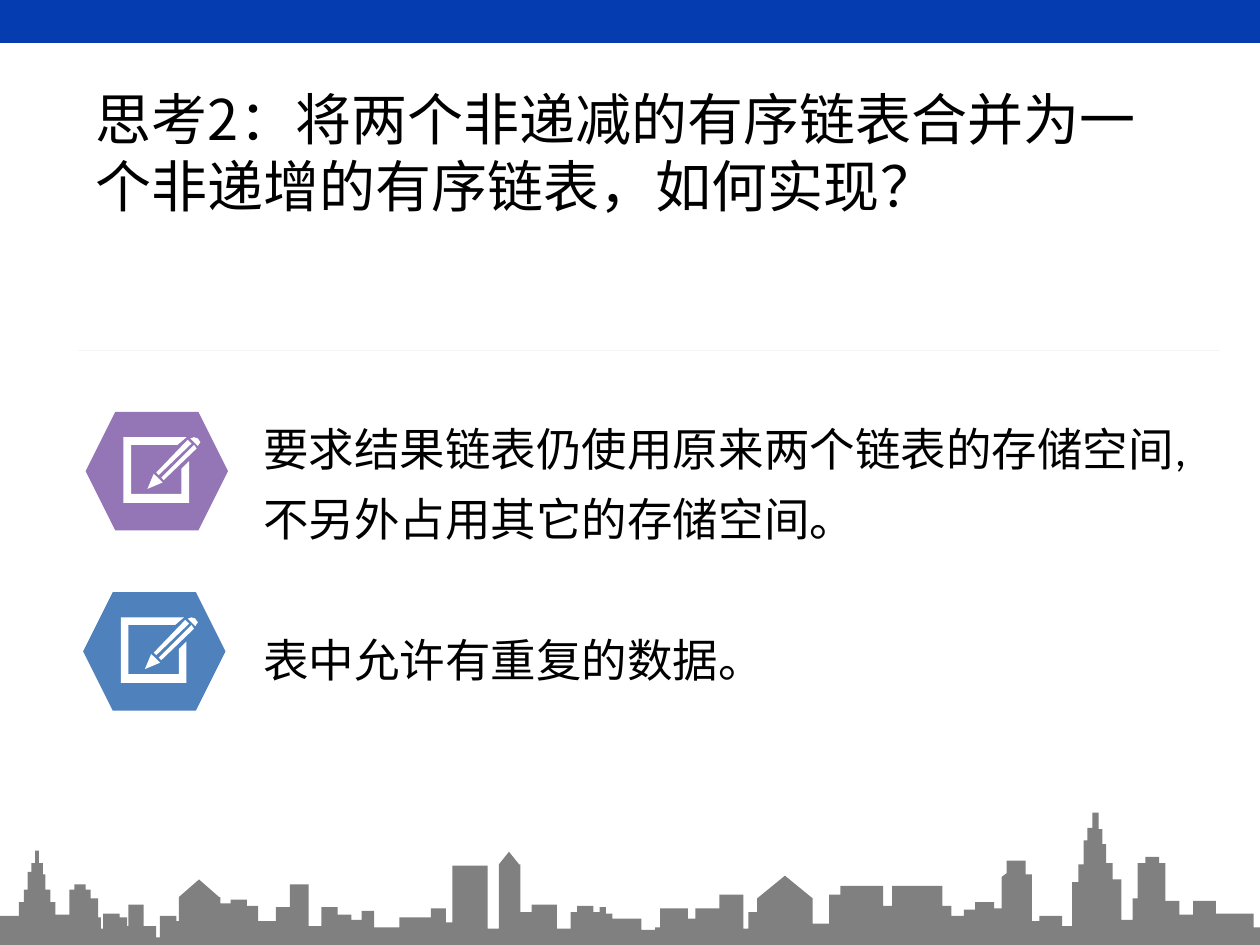
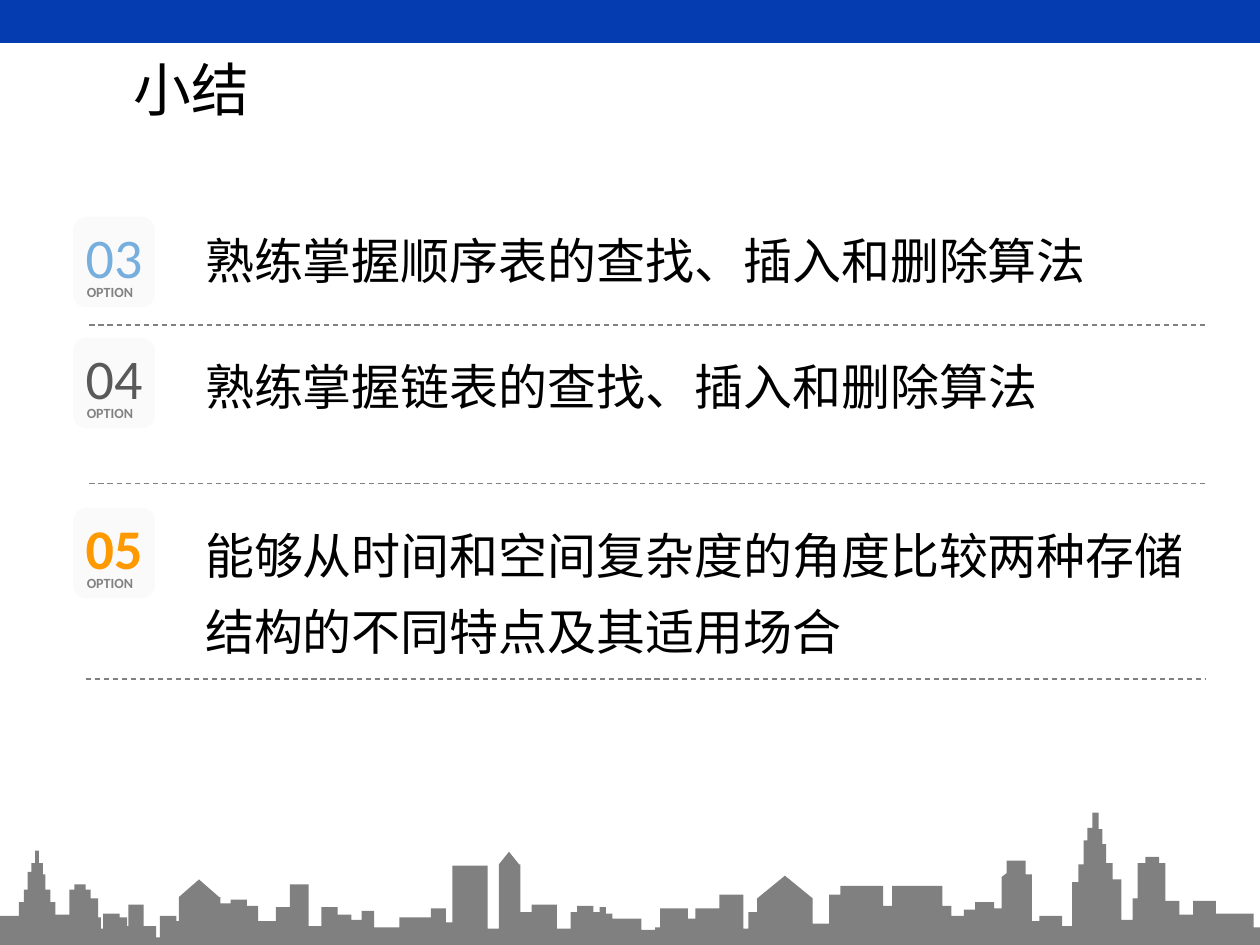
"""Build two slides on linked lists, with a shared band, title style and skyline."""
from dataclasses import dataclass

import lxml.etree
import pptx
import pptx.dml.color
import pptx.enum.dml
import pptx.enum.shapes
import pptx.enum.text
import pptx.oxml.ns
import pptx.util

Inches = pptx.util.Inches
RGBColor = pptx.dml.color.RGBColor
Shape = pptx.enum.shapes.MSO_SHAPE
Anchor = pptx.enum.text.MSO_ANCHOR
qn = pptx.oxml.ns.qn

BLUE = RGBColor(0x05, 0x3C, 0xAF)
BLACK = RGBColor(0x00, 0x00, 0x00)
WHITE = RGBColor(0xFF, 0xFF, 0xFF)
GREY = RGBColor(0x80, 0x80, 0x80)
PALE = RGBColor(0xF5, 0xF5, 0xF5)
CARD = RGBColor(0xFA, 0xFA, 0xFA)
LABEL = RGBColor(0x81, 0x81, 0x81)
PURPLE = RGBColor(0x94, 0x76, 0xB6)
STEEL = RGBColor(0x4F, 0x81, 0xBD)
SKY = RGBColor(0x76, 0xAE, 0xDD)
SLATE = RGBColor(0x59, 0x59, 0x59)
ORANGE = RGBColor(0xFF, 0x99, 0x00)

LATIN = "Calibri"
HAN = "Noto Sans CJK SC"
WIDTH, HEIGHT = 10, 7.5

Point = tuple[float, float]
Box = tuple[float, float, float, float]

ROOFS: list[Point] = [
    (0, 7.27), (0.15, 7.16), (0.19, 7.06), (0.22, 6.92), (0.25, 6.85), (0.28, 6.75),
    (0.31, 6.85), (0.34, 6.94), (0.36, 7.06), (0.4, 7.16), (0.44, 7.26), (0.55, 7.06),
    (0.59, 7.02), (0.68, 7.06), (0.72, 7.13), (0.78, 7.28), (0.8, 7.37), (0.82, 7.25),
    (0.95, 7.28), (1.01, 7.35), (1.02, 7.18), (1.14, 7.35), (1.24, 7.44), (1.27, 7.27),
    (1.4, 7.31), (1.42, 7.12), (1.75, 7.17), (1.83, 7.14), (1.96, 7.19), (2.05, 7.31),
    (2.19, 7.2), (2.3, 7.02), (2.45, 7.35), (2.55, 7.2), (2.68, 7.26), (2.79, 7.3),
    (2.87, 7.23), (2.97, 7.36), (3.17, 7.28), (3.42, 7.21), (3.54, 7.32), (3.59, 6.87),
    (3.87, 7.37), (3.96, 6.86), (4.13, 7.24), (4.22, 7.18), (4.42, 7.37), (4.53, 7.24),
    (4.58, 7.19), (4.71, 7.24), (4.76, 7.2), (4.81, 7.25), (4.86, 7.29), (5.09, 7.38),
    (5.2, 7.36), (5.24, 7.21), (5.46, 7.29), (5.52, 7.21), (5.71, 7.1), (5.9, 7.37),
    (5.94, 7.24), (6.01, 7.13), (6.45, 7.33), (6.58, 7.1), (6.67, 7.03), (7.01, 7.19),
    (7.08, 7.03), (7.48, 7.19), (7.55, 7.27), (7.65, 7.22), (7.74, 7.16), (7.89, 7.21),
    (7.95, 6.96), (7.99, 6.83), (8.14, 6.94), (8.19, 7.31), (8.25, 7.27), (8.43, 7.35),
    (8.51, 7), (8.56, 6.86), (8.6, 6.67), (8.63, 6.57), (8.67, 6.45), (8.72, 6.58),
    (8.75, 6.7), (8.78, 6.85), (8.83, 6.98), (8.9, 7.3), (8.99, 7.13), (9.03, 6.85),
    (9.09, 6.8), (9.2, 6.85), (9.25, 7.15), (9.36, 7.26), (9.47, 7.15), (9.65, 7.25),
    (9.95, 7.36),
]
PEAKS: dict[float, Point] = {
    1.42: (1.58, 6.98), 3.96: (4.04, 6.76), 6.01: (6.23, 6.95), 7.95: (7.99, 6.93),
}

NIB: list[Point] = [(0.61, 0.56), (0.54, 0.49), (0.49, 0.61)]
UPPER: list[Point] = [(0.81, 0.22), (0.56, 0.48), (0.58, 0.5), (0.84, 0.25)]
LOWER: list[Point] = [(0.6, 0.52), (0.62, 0.54), (0.88, 0.29), (0.86, 0.26)]
RUBBER: list[Point] = [(0.83, 0.21), (0.86, 0.2), (0.89, 0.21), (0.91, 0.24), (0.89, 0.27)]
FRAME: list[Point] = [
    (0.76, 0.65), (0.36, 0.65), (0.36, 0.26), (0.73, 0.26), (0.8, 0.2),
    (0.3, 0.2), (0.3, 0.72), (0.82, 0.72), (0.82, 0.39), (0.76, 0.45),
]


@dataclass
class Badge:
    """A hexagon that holds the pencil icon."""
    left: float
    top: float
    color: RGBColor


@dataclass
class Option:
    """A numbered card, its text and the dashed rule under it."""
    number: str
    color: RGBColor
    top: float
    text: str
    box: Box
    rule: Point
    bold: bool = False
    pitch: float = 1.0


BADGES = [Badge(0.68, 3.27, PURPLE), Badge(0.66, 4.7, STEEL)]
OPTIONS = [
    Option("03", SKY, 1.72, "熟练掌握顺序表的查找、插入和删除算法",
           (1.53, 1.78, 7.8, 0.69), (0.71, 2.58)),
    Option("04", SLATE, 2.68, "熟练掌握链表的查找、插入和删除算法",
           (1.53, 2.78, 6.95, 0.62), (0.71, 3.84)),
    Option("05", ORANGE, 4.03,
           "能够从时间和空间复杂度的角度比较两种存储结构的不同特点及其适用场合",
           (1.53, 3.98, 8.03, 1.27), (0.68, 5.39), bold=True, pitch=1.3),
]


def write(para, text: str, *, size: float, color: RGBColor = BLACK, face: str = LATIN,
          bold: bool = False, pitch: float = 1.0, gap: float = 0) -> None:
    """Add a run to a paragraph and format both."""
    para.alignment = pptx.enum.text.PP_ALIGN.LEFT
    para.line_spacing = pitch
    para.space_before = pptx.util.Pt(gap)
    run = para.add_run()
    run.text = text
    run.font.size = pptx.util.Pt(size)
    run.font.bold = bold
    run.font.color.rgb = color
    run.font.name = face
    lxml.etree.SubElement(run._r.get_or_add_rPr(), qn("a:ea")).set("typeface", face)


def place(shape, box: Box, anchor: Anchor = Anchor.MIDDLE):
    """Set the bounds of a text shape and return its frame."""
    shape.left, shape.top, shape.width, shape.height = map(Inches, box)
    frame = shape.text_frame
    frame.word_wrap = True
    frame.auto_size = pptx.enum.text.MSO_AUTO_SIZE.NONE
    frame.vertical_anchor = anchor
    return frame


def add_text(slide, box: Box, anchor: Anchor = Anchor.TOP):
    """Add a text box and return its frame."""
    return place(slide.shapes.add_textbox(*map(Inches, box)), box, anchor)


def paint(shape, color: RGBColor):
    """Give a shape a plain fill without line or shadow."""
    shape.shadow.inherit = False
    shape.fill.solid()
    shape.fill.fore_color.rgb = color
    shape.line.fill.background()
    return shape


def add_block(slide, kind: Shape, box: Box, color: RGBColor):
    """Add a filled preset shape."""
    return paint(slide.shapes.add_shape(kind, *map(Inches, box)), color)


def add_outline(slide, points: list[Point], color: RGBColor,
                left: float = 0, top: float = 0) -> None:
    """Add a filled polygon whose points are measured from left and top."""
    spots = [(Inches(left + x), Inches(top + y)) for x, y in points]
    pen = slide.shapes.build_freeform(*spots[0])
    pen.add_line_segments(spots[1:], close=True)
    paint(pen.convert_to_shape(), color)


def add_rule(slide, start: float, end: float, y: float, color: RGBColor,
             dashed: bool = False) -> None:
    """Add a thin level line."""
    rule = slide.shapes.add_connector(
        pptx.enum.shapes.MSO_CONNECTOR.STRAIGHT,
        Inches(start), Inches(y), Inches(end), Inches(y))
    rule.line.color.rgb = color
    rule.line.width = pptx.util.Pt(0.75)
    if dashed:
        rule.line.dash_style = pptx.enum.dml.MSO_LINE.DASH
    lxml.etree.SubElement(rule.element.spPr, qn("a:effectLst"))


def add_city(slide) -> None:
    """Add the skyline along the foot of a slide."""
    points: list[Point] = [(0, HEIGHT)]
    for x, y in ROOFS:
        points += [(x, points[-1][1]), (x, y)]
        if x in PEAKS:
            points += [PEAKS[x], (2 * PEAKS[x][0] - x, y)] if x < 7 else [PEAKS[x]]
    points += [(WIDTH, points[-1][1]), (WIDTH, HEIGHT)]
    add_outline(slide, points, GREY)


def add_badge(slide, badge: Badge) -> None:
    """Add a hexagon with a pencil on a sheet."""
    add_block(slide, Shape.HEXAGON, (badge.left, badge.top, 1.13, 0.94), badge.color)
    for part in (NIB, UPPER, LOWER, RUBBER, FRAME):
        add_outline(slide, part, WHITE, badge.left, badge.top)


def add_option(slide, item: Option) -> None:
    """Add one row of the summary."""
    add_block(slide, Shape.ROUNDED_RECTANGLE, (0.58, item.top, 0.65, 0.72), CARD)
    number = add_text(slide, (0.68, item.top + 0.04, 0.55, 0.54), Anchor.MIDDLE)
    number.margin_left = number.margin_right = number.margin_top = number.margin_bottom = 0
    write(number.paragraphs[0], item.number, size=32, color=item.color, bold=item.bold)
    label = add_text(slide, (0.59, item.top + 0.48, 0.65, 0.24))
    write(label.paragraphs[0], "OPTION", size=8, color=LABEL, bold=True)
    frame = add_text(slide, item.box)
    write(frame.paragraphs[0], item.text, size=28, pitch=item.pitch)
    start, y = item.rule
    add_rule(slide, start, 9.57, y, GREY, dashed=True)


def add_band(deck, slide) -> None:
    """Draw the top band and move it to the master."""
    band = add_block(slide, Shape.RECTANGLE, (0, 0, WIDTH, 0.34), BLUE)
    deck.slide_master.element.cSld.spTree.insert(2, band.element)


def build_task(deck):
    """Build the slide that sets the merging task."""
    slide = deck.slides.add_slide(deck.slide_layouts[1])
    title = place(slide.shapes.title, (0.66, 0.57, 8.51, 1.27)).paragraphs[0]
    write(title, "思考2：", size=32, face=HAN)
    write(title, "将两个非递减的有序链表合并为一个非递增的有序链表，如何实现？", size=32)
    body = place(slide.placeholders[1], (1.99, 3.14, 7.69, 2.38))
    rules = [("要求结果链表仍使用原来两个链表的存储空间, 不另外占用其它的存储空间。", 0),
             ("表中允许有重复的数据。", 40)]
    for index, (text, gap) in enumerate(rules):
        para = body.add_paragraph() if index else body.paragraphs[0]
        props = para._p.get_or_add_pPr()
        props.set("marL", "0")
        props.set("indent", "0")
        lxml.etree.SubElement(props, qn("a:buNone"))
        write(para, text, size=26, pitch=1.3, gap=gap)
    add_rule(slide, 0.62, 9.68, 2.78, PALE)
    for badge in BADGES:
        add_badge(slide, badge)
    add_city(slide)
    return slide


def build_recap(deck) -> None:
    """Build the summary slide."""
    slide = deck.slides.add_slide(deck.slide_layouts[5])
    title = place(slide.shapes.title, (0.96, 0.45, 1.83, 0.57))
    write(title.paragraphs[0], "小结", size=33, pitch=0.9)
    for item in OPTIONS:
        add_option(slide, item)
    add_city(slide)


def main() -> None:
    """Build and save the deck."""
    deck = pptx.Presentation()
    deck.slide_width, deck.slide_height = Inches(WIDTH), Inches(HEIGHT)
    add_band(deck, build_task(deck))
    build_recap(deck)
    deck.save("out.pptx")


if __name__ == "__main__":
    main()
